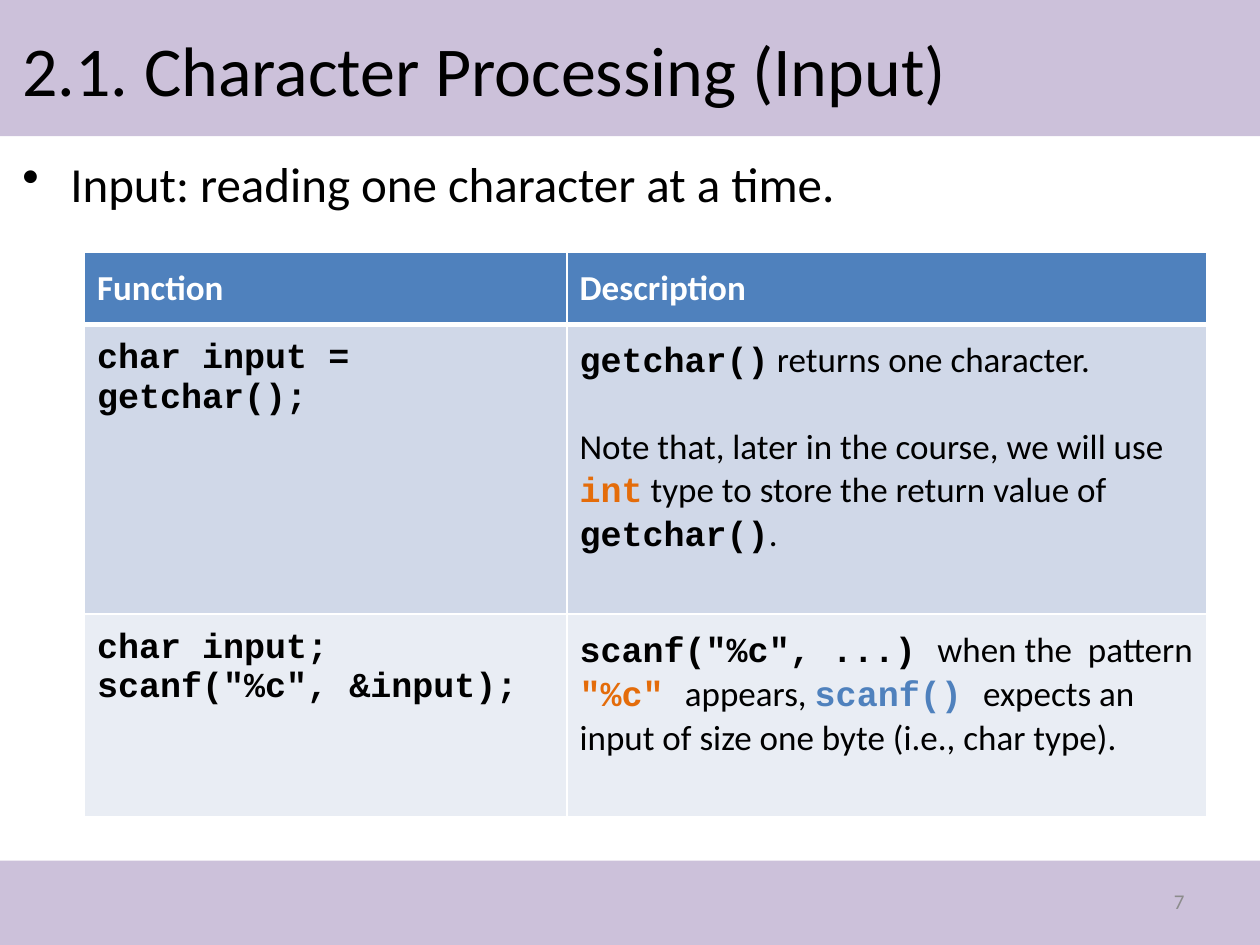
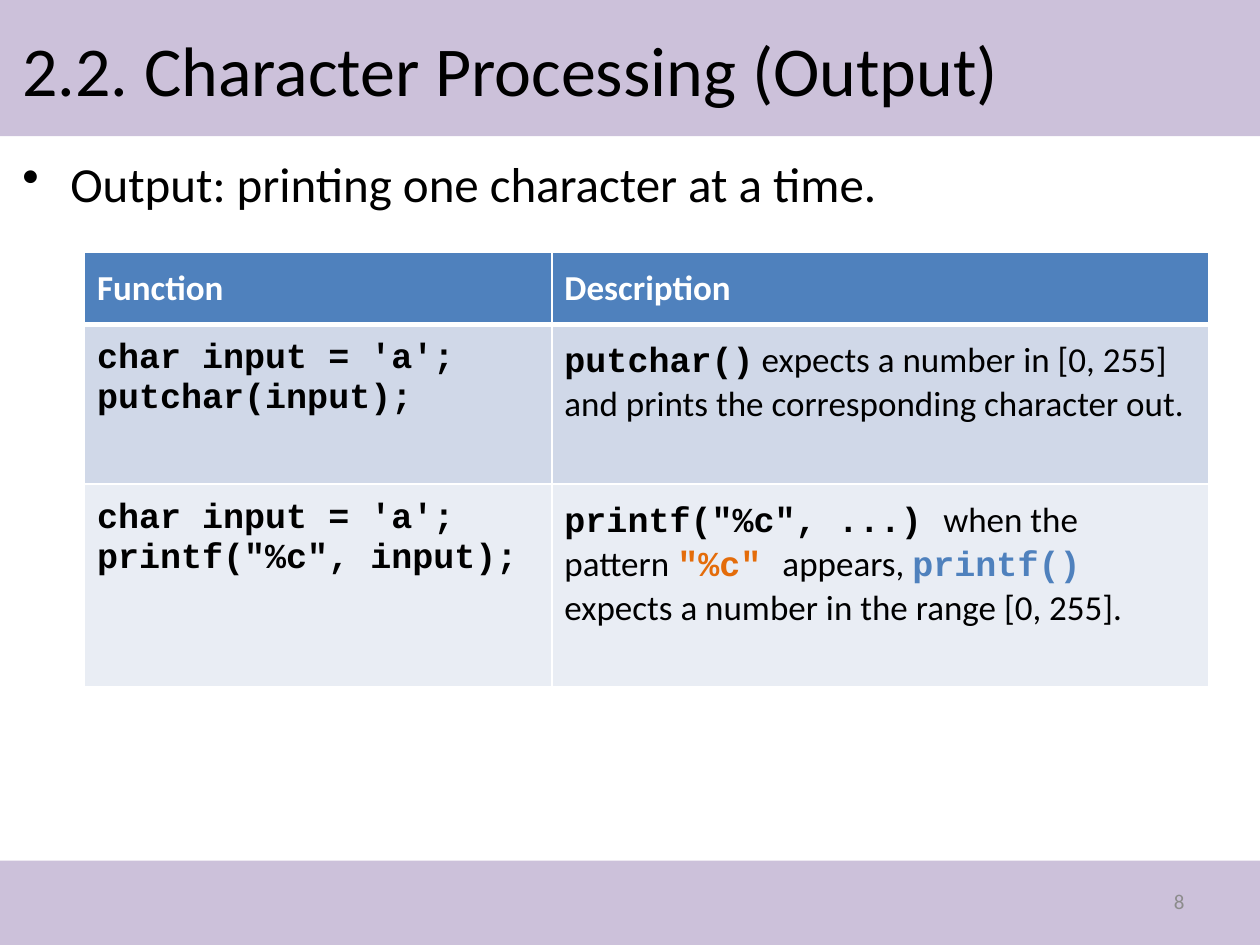
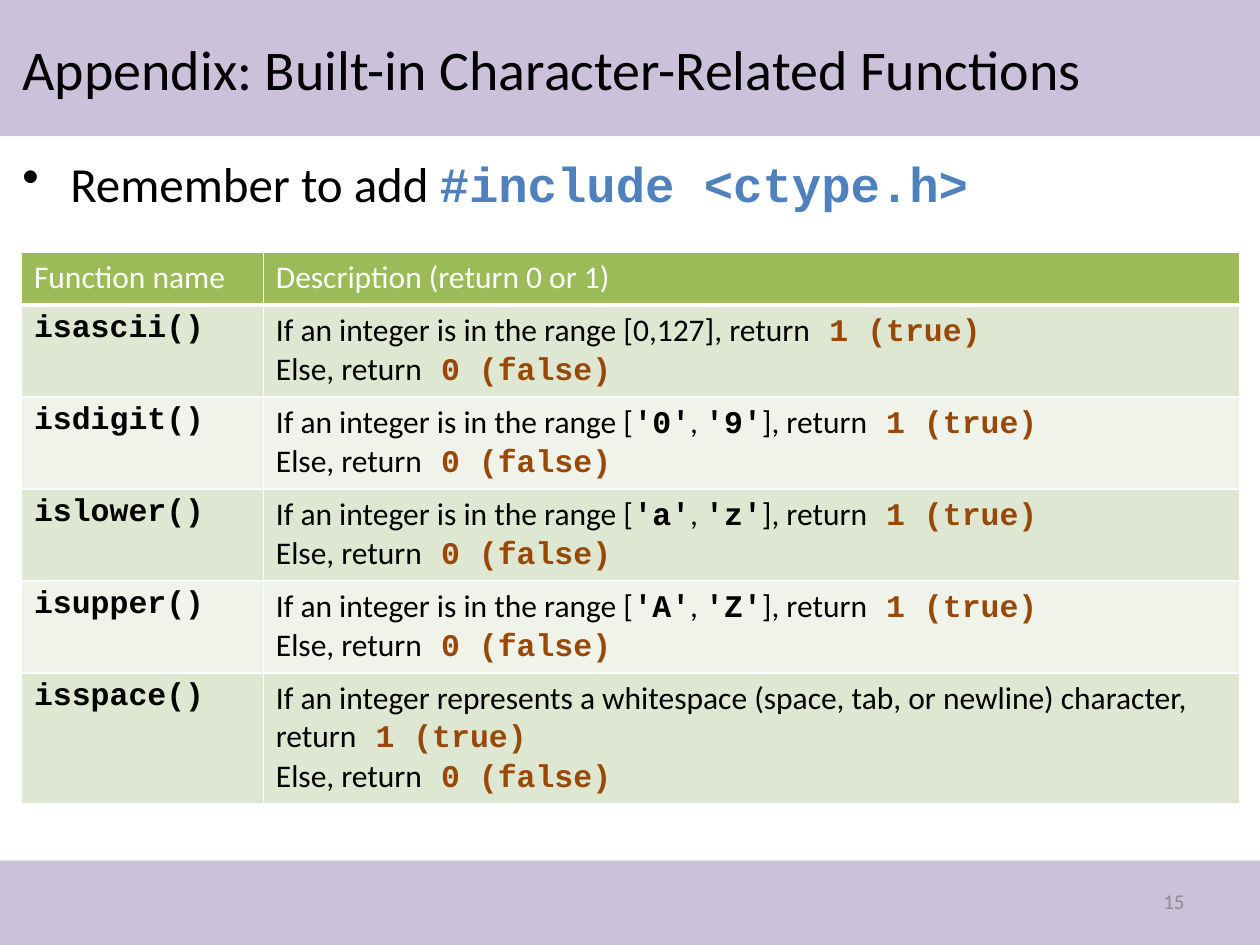
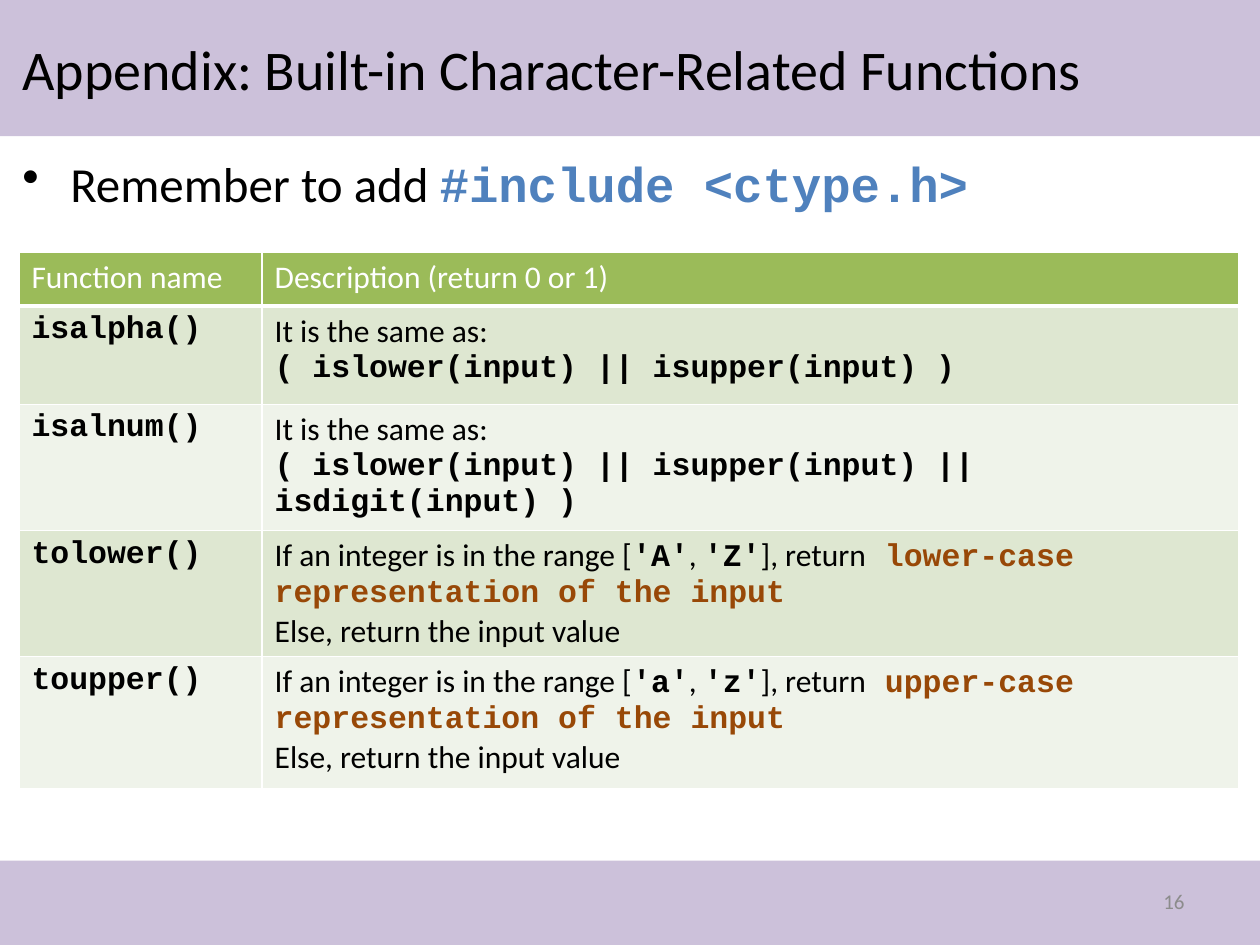
from dataclasses import dataclass

from lxml import etree
from pptx import Presentation
from pptx import util as u
from pptx.dml.color import RGBColor
from pptx.enum import shapes, text
from pptx.oxml import ns

# Palette
BLACK, WHITE, GREY = "000000", "FFFFFF", "8C8C8C"
LILAC, BLUE, GREEN = "CCC1DA", "4F81BD", "9BBB59"
ORANGE, BROWN = "E46C0A", "984807"
BLUE_BANDS = ("D0D8E8", "E9EDF4")
GREEN_BANDS = ("DEE7D1", "EFF3EA")

PROSE, MONO = "Calibri", "Courier New"


# Text model: a line holds runs, a cell holds lines
@dataclass
class Run:
    text: str
    color: str = BLACK
    bold: bool = False
    font: str = PROSE


@dataclass
class Line:
    runs: list
    before: float = 0


def code(words, color=BLACK):
    return Run(words, color, True, MONO)


def line(*parts, before=0):
    """Plain strings become prose runs."""
    return Line([Run(p) if isinstance(p, str) else p for p in parts], before)


def paint(target, color):
    target.solid()
    target.fore_color.rgb = RGBColor.from_string(color)


def style(font, run):
    font.name = run.font
    font.bold = run.bold
    paint(font.fill, run.color)


def write_line(paragraph, content, size):
    paragraph.font.size = u.Pt(size)
    paragraph.space_before = u.Pt(content.before)
    alone = len(content.runs) == 1
    for part in content.runs:
        run = paragraph.add_run()
        run.text = part.text
        style(paragraph.font if alone else run.font, part)


def write_lines(frame, lines, size):
    for index, content in enumerate(lines):
        paragraph = frame.add_paragraph() if index else frame.paragraphs[0]
        write_line(paragraph, content, size)


# Parts that every slide has
def add_band(slide, top, height):
    band = slide.shapes.add_shape(shapes.MSO_SHAPE.RECTANGLE, 0, u.Inches(top),
                                  u.Inches(10), u.Inches(height))
    band.shadow.inherit = False
    paint(band.fill, LILAC)
    band.line.fill.background()


def add_text(slide, left, top, width, height, content, size, middle=True):
    box = slide.shapes.add_textbox(*map(u.Inches, (left, top, width, height)))
    frame = box.text_frame
    frame.word_wrap = True
    frame.vertical_anchor = text.MSO_ANCHOR.MIDDLE if middle else text.MSO_ANCHOR.TOP
    write_lines(frame, [content], size)
    return frame.paragraphs[0]


def add_bullet(slide, content):
    bullet = add_text(slide, 0.08, 1.17, 9.77, 0.6, content, 28, middle=False)
    props = bullet._p.get_or_add_pPr()
    props.set("marL", str(u.Inches(0.38)))
    props.set("indent", str(u.Inches(-0.38)))
    mark = etree.Element(ns.qn("a:buChar"), char="•")
    props.find(ns.qn("a:defRPr")).addprevious(mark)


def add_page(deck, title, title_size, bullet, number):
    slide = deck.slides.add_slide(deck.slide_layouts[6])
    add_band(slide, 0, 1.08)
    add_band(slide, 6.83, 0.67)
    add_text(slide, 0.08, 0.08, 9.84, 0.92, line(title), title_size)
    add_bullet(slide, bullet)
    page = add_text(slide, 7.17, 6.95, 2.33, 0.4, line(Run(str(number), GREY)), 12)
    page.alignment = text.PP_ALIGN.RIGHT
    return slide


# Tables
def add_borders(cell, top, bottom):
    props = cell._tc.get_or_add_tcPr()
    for side, width in (("L", 1), ("R", 1), ("T", top), ("B", bottom)):
        edge = etree.SubElement(props, ns.qn(f"a:ln{side}"), w=str(u.Pt(width)))
        fill = etree.SubElement(edge, ns.qn("a:solidFill"))
        etree.SubElement(fill, ns.qn("a:srgbClr"), val=WHITE)


def add_function_table(slide, left, widths, heights, rows, size, header_fill,
                       bands, inset):
    frame = slide.shapes.add_table(len(rows), len(widths), u.Inches(left), u.Inches(2),
                                   u.Inches(sum(widths)), u.Inches(sum(heights)))
    table = frame.table
    table_props = table._tbl.tblPr
    table_props.remove(table_props.find(ns.qn("a:tableStyleId")))
    for column, width in zip(table.columns, widths):
        column.width = u.Inches(width)
    for r, (height, row) in enumerate(zip(heights, rows)):
        table.rows[r].height = u.Inches(height)
        for c, lines in enumerate(row):
            cell = table.cell(r, c)
            cell.margin_left = cell.margin_right = u.Inches(0.1)
            cell.margin_top = cell.margin_bottom = u.Inches(inset)
            add_borders(cell, 3 if r == 1 else 1, 3 if r == 0 else 1)
            paint(cell.fill, bands[(r - 1) % 2] if r else header_fill)
            write_lines(cell.text_frame, lines, size)


def header(*labels, bold=False):
    return [[line(Run(label, WHITE, bold))] for label in labels]


def add_io_table(slide, widths, heights, rows):
    add_function_table(slide, 0.67, widths, heights,
                       [header("Function", "Description", bold=True)] + rows,
                       20, BLUE, BLUE_BANDS, 0.12)


def add_ctype_table(slide, left, widths, heights, functions):
    rows = [[[line(code(name))], lines] for name, lines in functions]
    add_function_table(slide, left, widths, heights,
                       [header("Function name", "Description (return 0 or 1)")] + rows,
                       18, GREEN, GREEN_BANDS, 0.05)


# Wording that recurs in the tables
def code_lines(*lines):
    return [line(code(words)) for words in lines]


def pattern_note(function, expectation):
    return [line(code(f'{function}("%c", ...) '), "when the  pattern ",
                 code('"%c" ', ORANGE), "appears, ",
                 code(f"{function}() ", BLUE), expectation)]


def in_range(first, last, result):
    return line("If an integer is in the range [", code(f"'{first}'"), ", ",
                code(f"'{last}'"), "], return", code(f" {result}", BROWN))


def true_or_false(condition):
    return [condition, line("Else, return", code(" 0 (false)", BROWN))]


def same_as(expression):
    return [line("It is the same as:"), line(code(expression))]


def convert_case(first, last, case):
    return [in_range(first, last, f"{case}-case representation of the input"),
            line("Else, return the input value")]


# Slides
def input_slide(deck):
    slide = add_page(deck, "2.1. Character Processing (Input)", 40,
                     line("Input: reading one character at a time.", before=5.6), 7)
    getchar_note = [
        line(code("getchar()"), " returns one character."),
        line("Note that, later in the course, we will use ", code("int", ORANGE),
             " type to store the return value of ", code("getchar()"), ".", before=24.4),
    ]
    add_io_table(slide, (3.83, 5.08), (0.57, 2.3, 1.61), [
        [code_lines("char input = getchar();"), getchar_note],
        [code_lines("char input;", 'scanf("%c", &input);'),
         pattern_note("scanf", "expects an input of size one byte (i.e., char type).")],
    ])


def output_slide(deck):
    slide = add_page(deck, "2.2. Character Processing (Output)", 40,
                     line("Output: printing one character at a time.", before=5.6), 8)
    putchar_note = [line(code("putchar()"), " expects a number in [0, 255] and prints "
                         "the corresponding character out.")]
    add_io_table(slide, (3.71, 5.21), (0.57, 1.27, 1.61), [
        [code_lines("char input = 'a';", "putchar(input);"), putchar_note],
        [code_lines("char input = 'a';", 'printf("%c", input);'),
         pattern_note("printf", "expects a number in the range [0, 255].")],
    ])


def appendix_page(deck, number):
    reminder = line("Remember to add ", code("#include <ctype.h>", BLUE), before=5.6)
    return add_page(deck, "Appendix: Built-in Character-Related Functions", 32,
                    reminder, number)


def test_functions_slide(deck):
    yes = "1 (true)"
    ascii_range = line("If an integer is in the range [0,127], return",
                       code(f" {yes}", BROWN))
    whitespace = line("If an integer represents a whitespace (space, tab, or newline) "
                      "character, return", code(f" {yes}", BROWN))
    conditions = [
        ("isascii()", ascii_range),
        ("isdigit()", in_range("0", "9", yes)),
        ("islower()", in_range("a", "z", yes)),
        ("isupper()", in_range("A", "Z", yes)),
        ("isspace()", whitespace),
    ]
    add_ctype_table(appendix_page(deck, 15), 0.17, (1.92, 7.75),
                    [0.42] + [0.73] * 4 + [1.04],
                    [(name, true_or_false(test)) for name, test in conditions])


def combined_functions_slide(deck):
    letter = "islower(input) || isupper(input)"
    add_ctype_table(appendix_page(deck, 16), 0.15, (1.93, 7.75),
                    (0.43, 0.78, 0.97, 1, 1.05), [
        ("isalpha()", same_as(f"( {letter} )")),
        ("isalnum()", same_as(f"( {letter} || isdigit(input) )")),
        ("tolower()", convert_case("A", "Z", "lower")),
        ("toupper()", convert_case("a", "z", "upper")),
    ])


def main():
    deck = Presentation()
    deck.slide_width, deck.slide_height = u.Inches(10), u.Inches(7.5)
    input_slide(deck)
    output_slide(deck)
    test_functions_slide(deck)
    combined_functions_slide(deck)
    deck.save("out.pptx")


if __name__ == "__main__":
    main()
